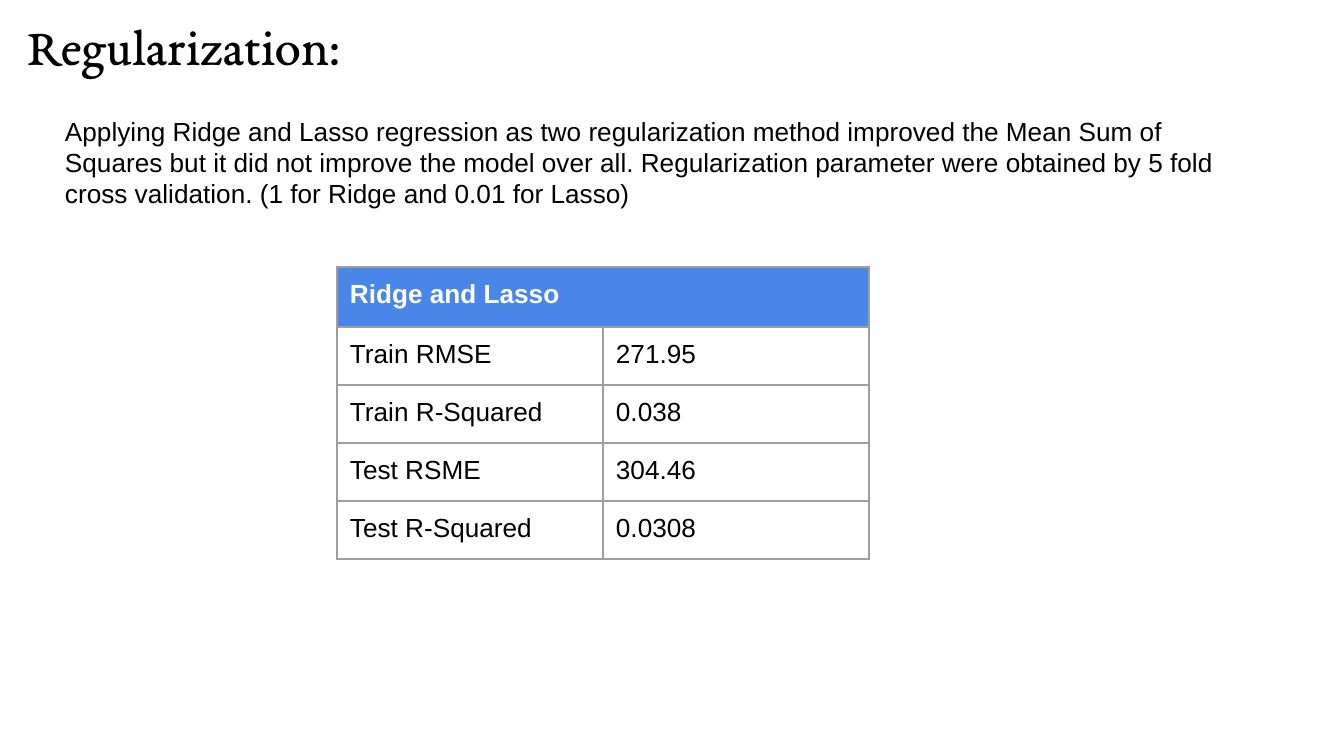
from dataclasses import dataclass

from lxml import etree
from pptx import Presentation
from pptx.dml.color import RGBColor
from pptx.enum.text import MSO_ANCHOR
from pptx.oxml.ns import qn
from pptx.util import Emu, Pt

PX_PER_INCH = 134.4
TOP = MSO_ANCHOR.TOP
INSET = 13


@dataclass(frozen=True)
class Theme:
    text: str = "000000"
    header_text: str = "FFFFFF"
    header_fill: str = "4A86E8"
    border: str = "9E9E9E"
    title_font: str = "EB Garamond"
    body_font: str = "Arial"
    title_size: int = 28
    body_size: int = 14
    border_width: float = 0.75


THEME = Theme()

BODY = (
    "Applying Ridge and Lasso regression as two regularization method improved "
    "the Mean Sum of Squares but it did not improve the model over all. "
    "Regularization parameter were obtained by 5 fold cross validation. "
    "(1 for Ridge and 0.01 for Lasso)"
)
RESULTS = [
    ("Train RMSE", "271.95"),
    ("Train R-Squared", "0.038"),
    ("Test RSME", "304.46"),
    ("Test R-Squared", "0.0308"),
]


def px(n):
    return Emu(round(n * 914400 / PX_PER_INCH))


def set_margins(target):
    """Apply the common inset to a text frame or a table cell."""
    target.margin_left = target.margin_right = px(INSET)
    target.margin_top = target.margin_bottom = px(INSET)


def write(tf, text, font, size, color, bold=False):
    tf.text = text
    f = tf.paragraphs[0].runs[0].font
    f.name, f.size, f.bold = font, Pt(size), bold
    f.color.rgb = RGBColor.from_string(color)


def add_text(s, box, text, font, size):
    tf = s.shapes.add_textbox(*map(px, box)).text_frame
    tf.word_wrap = True
    tf.vertical_anchor = TOP
    set_margins(tf)
    write(tf, text, font, size, THEME.text)


def set_borders(cell):
    tc_pr = cell._tc.get_or_add_tcPr()
    for side in ("a:lnL", "a:lnR", "a:lnT", "a:lnB"):
        ln = etree.SubElement(tc_pr, qn(side), w=str(Pt(THEME.border_width)))
        fill = etree.SubElement(ln, qn("a:solidFill"))
        etree.SubElement(fill, qn("a:srgbClr"), val=THEME.border)


def fill_cell(cell, text, header):
    set_margins(cell)
    if header:
        cell.fill.solid()
        cell.fill.fore_color.rgb = RGBColor.from_string(THEME.header_fill)
    else:
        cell.fill.background()
    if text:
        color = THEME.header_text if header else THEME.text
        write(cell.text_frame, text, THEME.body_font, THEME.body_size, color, header)


def add_results_table(s, left, top, col_width, header_height, row_height):
    rows = [("Ridge and Lasso", "")] + RESULTS
    height = header_height + row_height * len(RESULTS)
    table = s.shapes.add_table(
        len(rows), 2, px(left), px(top), px(2 * col_width), px(height)
    ).table
    for column in table.columns:
        column.width = px(col_width)
    for i, row in enumerate(rows):
        table.rows[i].height = px(row_height if i else header_height)
        for j, text in enumerate(row):
            cell = table.cell(i, j)
            set_borders(cell)
            fill_cell(cell, text, header=i == 0)
    table.cell(0, 0).merge(table.cell(0, 1))


def main():
    prs = Presentation()
    prs.slide_width, prs.slide_height = px(1344), px(756)
    s = prs.slides.add_slide(prs.slide_layouts[6])
    add_text(s, (15, 0, 1253, 85), "Regularization:", THEME.title_font, THEME.title_size)
    add_text(s, (52, 102, 1206, 137), BODY, THEME.body_font, THEME.body_size)
    add_results_table(s, 337, 267, col_width=266, header_height=60, row_height=58)
    prs.save("out.pptx")


if __name__ == "__main__":
    main()
